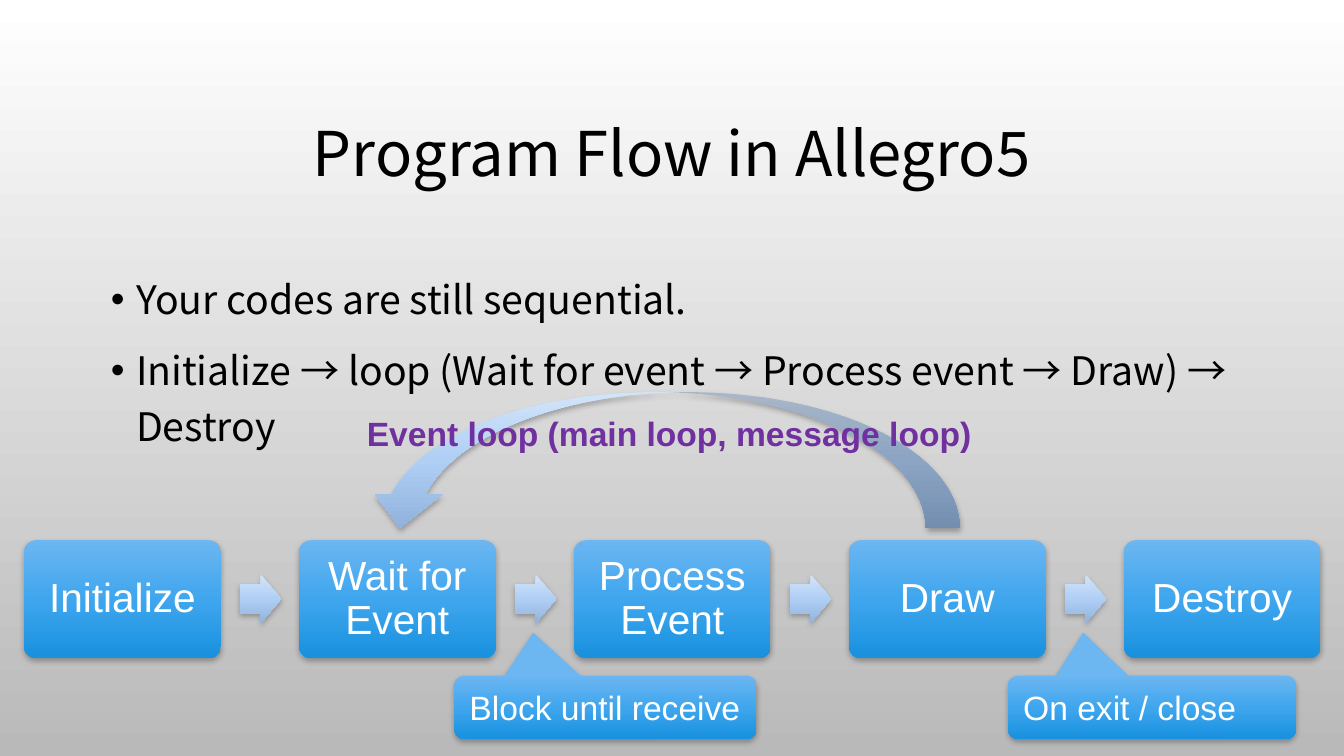
import copy
import pptx
import pptx.dml.color
import pptx.enum.shapes
import pptx.enum.text
import pptx.oxml
import pptx.oxml.ns
import pptx.util

Pt = pptx.util.Pt
qn = pptx.oxml.ns.qn
MSO_SHAPE = pptx.enum.shapes.MSO_SHAPE
ANCHOR = pptx.enum.text.MSO_ANCHOR
ALIGN = pptx.enum.text.PP_ALIGN
AUTO_SIZE = pptx.enum.text.MSO_AUTO_SIZE
color = pptx.dml.color.RGBColor.from_string

BOX_BLUES = ["6CB6F1", "3FA6EE", "1891DF"]
ARROW_BLUES = ["D2E4F9", "B0CFF5", "90B2DB"]
SHADOW = (
    f'<a:outerShdw {pptx.oxml.ns.nsdecls("a")} blurRad="50800" dist="25400" dir="5400000" '
    'rotWithShape="0"><a:srgbClr val="000000"><a:alpha val="28000"/></a:srgbClr></a:outerShdw>'
)


def paint(fill, element, colors):
    """Fill from top to bottom with evenly spaced colours."""
    fill.gradient()
    fill.gradient_angle = 270
    stop_list = element.find(".//" + qn("a:gsLst"))
    while len(stop_list) < len(colors):
        stop_list.append(copy.deepcopy(stop_list[0]))
    for index, stop in enumerate(fill.gradient_stops):
        stop.position = index / (len(colors) - 1)
        stop.color.rgb = color(colors[index])


def write(shape, lines, font_name, size, text_color, frame_format, paragraph_format, bold=False):
    frame = shape.text_frame
    frame.text = "\n".join(lines)
    for name, value in {"word_wrap": True, "auto_size": AUTO_SIZE.NONE, **frame_format}.items():
        setattr(frame, name, value)
    for paragraph in frame.paragraphs:
        for name, value in paragraph_format.items():
            setattr(paragraph, name, value)
        font = paragraph.runs[0].font
        for name, value in {"name": font_name, "size": Pt(size), "bold": bold}.items():
            setattr(font, name, value)
        font.color.rgb = color(text_color)
        east_asian = pptx.oxml.parse_xml(f'<a:ea {pptx.oxml.ns.nsdecls("a")} typeface="{font_name}"/>')
        font._element.find(qn("a:latin")).addnext(east_asian)


presentation = pptx.Presentation()
presentation.slide_width = Pt(960)
presentation.slide_height = Pt(540)
slide = presentation.slides.add_slide(presentation.slide_layouts[1])
paint(slide.background.fill, slide._element, ["FFFFFF", "B9B9B9"])

# Title and bullet list
title, body = slide.placeholders
for placeholder, top, height in [(title, 48.96, 126), (body, 186.5, 269.3)]:
    placeholder.left, placeholder.top = Pt(72), Pt(top)
    placeholder.width, placeholder.height = Pt(816), Pt(height)
write(title, ["Program Flow in Allegro5"], "Noto Sans CJK SC", 44, "000000",
      {"vertical_anchor": ANCHOR.MIDDLE}, {"alignment": ALIGN.CENTER, "line_spacing": 0.9})
bullets = [
    "Your codes are still sequential.",
    "Initialize → loop (Wait for event → Process event → Draw) → Destroy",
]
write(body, bullets, "Noto Sans CJK SC", 28, "000000", {"vertical_anchor": ANCHOR.TOP},
      {"line_spacing": 1.2, "space_before": Pt(10)})
for paragraph in body.text_frame.paragraphs:
    properties = paragraph._p.get_or_add_pPr()
    properties.set("marL", str(Pt(18)))
    properties.set("indent", str(Pt(-18)))

# Diagram parts: preset, left, top, width, height, adjustments, colours, text, size, alignment
parts = []
steps = ["Initialize", "Wait for Event", "Process Event", "Draw", "Destroy"]
for index, step in enumerate(steps):
    left = 17.28 + 196.4 * index
    parts.append((MSO_SHAPE.ROUNDED_RECTANGLE, left, 385.9, 140.4, 84.2, [0.1],
                  BOX_BLUES, step, 29, ALIGN.CENTER))
    if index < len(steps) - 1:
        parts.append((MSO_SHAPE.RIGHT_ARROW, left + 154.1, 410.4, 29.7, 34.8, [0.6, 0.5],
                      ARROW_BLUES, "", 0, None))
parts.append((MSO_SHAPE.CURVED_DOWN_ARROW, 261.4, 280.1, 424.1, 97.2, [],
              ARROW_BLUES, "", 0, None))
for left, width, note in [(324.5, 216, "Block until receive"), (720, 205.9, "On exit / close")]:
    parts.append((MSO_SHAPE.ROUNDED_RECTANGULAR_CALLOUT, left, 482.6, width, 45.4,
                  [-0.239, -1.177, 0.167], BOX_BLUES, note, 24, ALIGN.LEFT))

margins = {f"margin_{side}": Pt(8.64) for side in ["left", "right", "top", "bottom"]}
for preset, left, top, width, height, adjustments, colors, text, size, alignment in parts:
    shape = slide.shapes.add_shape(preset, Pt(left), Pt(top), Pt(width), Pt(height))
    for index, value in enumerate(adjustments):
        shape.adjustments[index] = value
    paint(shape.fill, shape._element, colors)
    shape.line.fill.background()
    shape.shadow.inherit = False
    shape._element.spPr.find(qn("a:effectLst")).append(pptx.oxml.parse_xml(SHADOW))
    if text:
        write(shape, [text], "Arial", size, "FFFFFF", {"vertical_anchor": ANCHOR.MIDDLE, **margins},
              {"alignment": alignment, "line_spacing": 0.9 if alignment == ALIGN.CENTER else 1.0})
    if preset == MSO_SHAPE.CURVED_DOWN_ARROW:
        shape.rotation = 180
        shape._element.spPr.find(qn("a:xfrm")).set("flipV", "1")

# Loop label
label = slide.shapes.add_textbox(Pt(254.9), Pt(291.6), Pt(450), Pt(36))
write(label, ["Event loop (main loop, message loop)"], "Arial", 24, "7030A0",
      {"auto_size": AUTO_SIZE.SHAPE_TO_FIT_TEXT}, {}, bold=True)

presentation.save("out.pptx")
